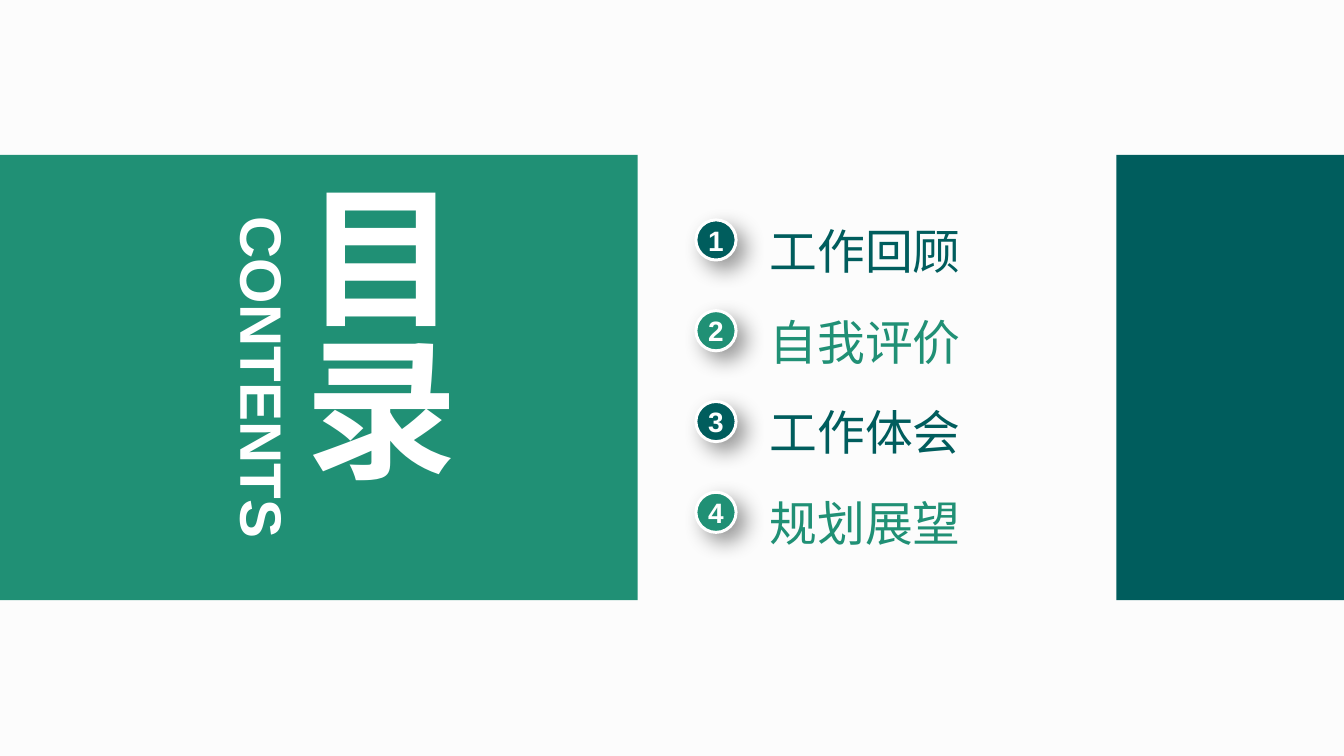
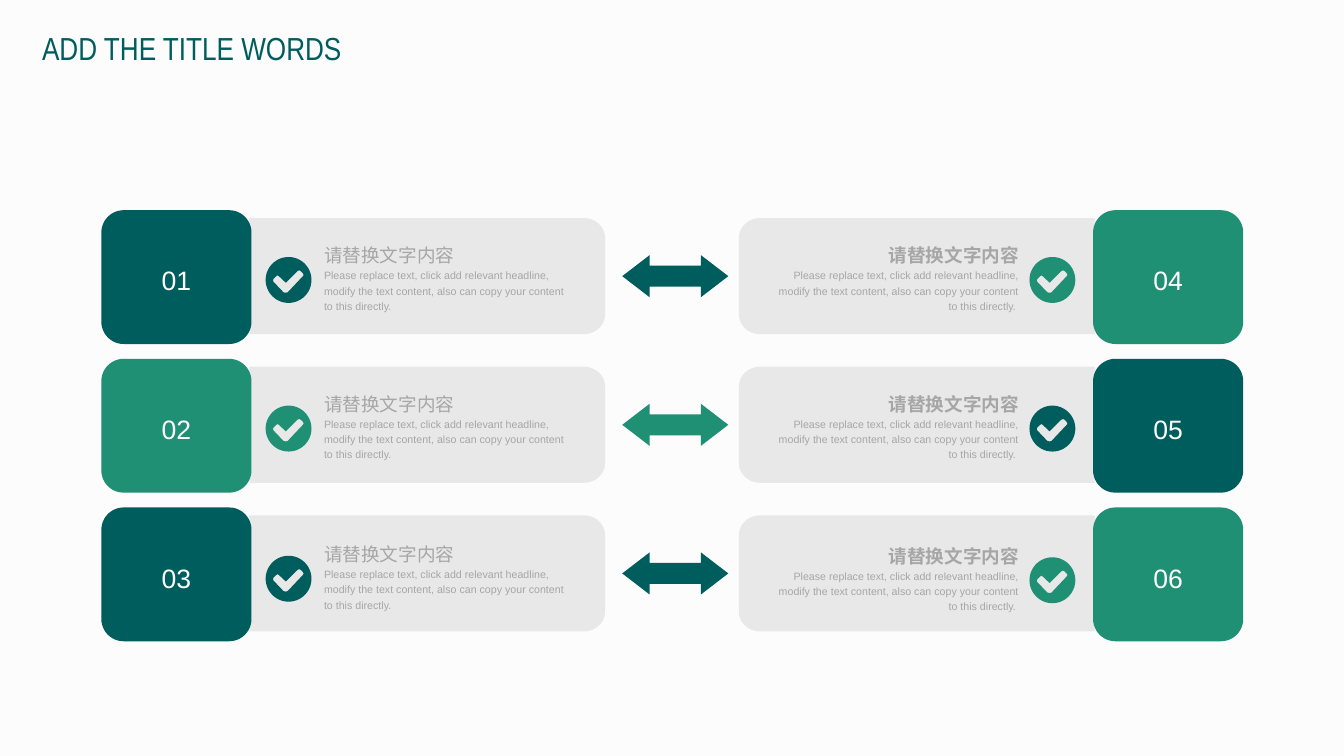
from math import cos, sin, radians

from lxml.etree import SubElement
from pptx import Presentation
from pptx.dml.color import RGBColor
from pptx.enum.shapes import MSO_SHAPE as Preset
from pptx.enum.text import MSO_ANCHOR as Anchor, MSO_AUTO_SIZE as Fit, PP_ALIGN as Align
from pptx.oxml.ns import qn
from pptx.util import Inches, Pt

COLORS = {
    "paper": "FCFCFC",
    "deep": "005D5D",
    "green": "209075",
    "panel": "E6E6E6",
    "grey": "A6A6A6",
    "white": "FFFFFF",
    "shadow": "000000",
}
PAIR = ("deep", "green")
TITLE_ONLY, TITLE_AND_BODY = 5, 1


def arc(center_x, center_y, radius_x, radius_y, start, end, steps=12):
    """Points along an elliptical arc; angles in degrees, clockwise from the right."""
    angles = [radians(start + (end - start) * i / steps) for i in range(steps + 1)]
    return [(center_x + radius_x * cos(a), center_y + radius_y * sin(a)) for a in angles]


class Slides:
    """Style and current slide; lengths are columns and rows of a 100 x 100 grid."""

    def __init__(self, width, height):
        self.deck = Presentation()
        self.deck.slide_width, self.deck.slide_height = Inches(width), Inches(height)
        self.column = self.deck.slide_width / 100
        self.row = self.deck.slide_height / 100
        self.paint(self.deck.slide_master.background, "paper")
        self.page = None

    def new_page(self, layout):
        self.page = self.deck.slides.add_slide(self.deck.slide_layouts[layout])

    # --- style helpers ---
    def area(self, x, y, width, height):
        return (round(x * self.column), round(y * self.row),
                round(width * self.column), round(height * self.row))

    def paint(self, target, color):
        target.fill.solid()
        target.fill.fore_color.rgb = RGBColor.from_string(COLORS[color])

    def finish(self, shape, color, opacity=100):
        shape.shadow.inherit = False
        self.paint(shape, color)
        shape.line.fill.background()
        if opacity < 100:
            fill = shape._element.spPr.find(qn("a:solidFill"))
            SubElement(fill[0], qn("a:alpha"), val=str(opacity * 1000))
        return shape

    def frame(self, shape, anchor=Anchor.MIDDLE, inset=0):
        frame = shape.text_frame
        frame.word_wrap, frame.auto_size = True, Fit.NONE
        frame.vertical_anchor = anchor
        if inset is not None:
            frame.margin_left = frame.margin_right = inset
            frame.margin_top = frame.margin_bottom = inset
        return frame

    def add_span(self, para, words, size, color, bold=False, font="Arial"):
        span = para.add_run()
        span.text = words
        span.font.name, span.font.size, span.font.bold = font, Pt(size), bold
        span.font.color.rgb = RGBColor.from_string(COLORS[color])

    # --- elements ---
    def place(self, holder, *area):
        holder.left, holder.top, holder.width, holder.height = self.area(*area)
        return holder

    def title(self, words, area, size, color, font="Arial", bold=False,
              anchor=Anchor.TOP, inset=None, spacing=1.0, vertical=False):
        holder = self.place(self.page.shapes.title, *area)
        frame = self.frame(holder, anchor, inset)
        if vertical:
            holder._element.txBody.find(qn("a:bodyPr")).set("vert", "eaVert")
        para = frame.paragraphs[0]
        para.alignment, para.line_spacing = Align.LEFT, spacing
        self.add_span(para, words, size, color, bold, font)

    def topics(self, lines, area, size, pitch):
        """Unbulleted list in the body placeholder, one line every `pitch` rows."""
        frame = self.frame(self.place(self.page.placeholders[1], *area), Anchor.TOP)
        for i, words in enumerate(lines):
            para = frame.add_paragraph() if i else frame.paragraphs[0]
            para.space_before = Pt(0)
            para.line_spacing = Pt(round(pitch * self.row / Pt(1), 1))
            marks = para._p.get_or_add_pPr()
            marks.set("marL", "0")
            marks.set("indent", "0")
            SubElement(marks, qn("a:buNone"))
            self.add_span(para, words, size, PAIR[i % 2])

    def text(self, area, anchor=Anchor.TOP, align=Align.LEFT, spacing=1.0, turn=0):
        box = self.page.shapes.add_textbox(*self.area(*area))
        box.rotation = turn
        para = self.frame(box, anchor).paragraphs[0]
        para.alignment, para.line_spacing = align, spacing
        return para

    def shape(self, preset, area, color):
        return self.finish(self.page.shapes.add_shape(preset, *self.area(*area)), color)

    def label(self, shape, words, size, bold=False, spacing=1.0):
        para = self.frame(shape).paragraphs[0]
        para.alignment, para.line_spacing = Align.CENTER, spacing
        self.add_span(para, words, size, "white", bold)

    def badge(self, area, number, color):
        disc = self.shape(Preset.OVAL, area, color)
        disc.line.color.rgb = RGBColor.from_string(COLORS["white"])
        disc.line.width = Pt(2.25)
        effects = disc._element.spPr.find(qn("a:effectLst"))
        shadow = SubElement(effects, qn("a:outerShdw"), blurRad=str(Pt(16)),
                            dist=str(Pt(9)), dir=str(45 * 60000), rotWithShape="0")
        tone = SubElement(shadow, qn("a:srgbClr"), val=COLORS["shadow"])
        SubElement(tone, qn("a:alpha"), val="40000")
        self.label(disc, str(number), 21.1, bold=True)

    def outline(self, area, contours, color, opacity=100):
        """Closed contours given as shares of the area."""
        left, top, width, height = self.area(*area)
        routes = [[(round(left + x * width), round(top + y * height)) for x, y in contour]
                  for contour in contours]
        builder = self.page.shapes.build_freeform(*routes[0][0], scale=1.0)
        for i, route in enumerate(routes):
            if i:
                builder.move_to(*route[0])
            builder.add_line_segments(route[1:], close=True)
        return self.finish(builder.convert_to_shape(), color, opacity)

    def panel(self, area, mirrored):
        """Panel with round corners on its inner side."""
        rx, ry = 0.06, 0.17
        points = [(0, 0), *arc(1 - rx, ry, rx, ry, -90, 0),
                  *arc(1 - rx, 1 - ry, rx, ry, 0, 90), (0, 1)]
        if mirrored:
            points = [(1 - x, y) for x, y in points]
        self.outline(area, [points], "panel", opacity=90)

    def tick(self, area, color):
        check = [(.81, .35), (.77, .31), (.73, .29), (.69, .31), (.44, .56), (.29, .42),
                 (.26, .40), (.23, .42), (.17, .48), (.16, .51), (.17, .54), (.39, .77),
                 (.44, .78), (.48, .77), (.81, .42), (.83, .39)]
        self.outline(area, [arc(.5, .5, .5, .5, 0, 360, 72), check], color)


slides = Slides(14.06, 7.91)

# Contents page: two bands, vertical title, numbered topics
slides.new_page(TITLE_AND_BODY)
BAND_TOP, BAND_HEIGHT = 20.48, 58.91
slides.shape(Preset.RECTANGLE, (0, BAND_TOP, 47.44, BAND_HEIGHT), "green")
slides.shape(Preset.RECTANGLE, (83.07, BAND_TOP, 16.93, BAND_HEIGHT), "deep")
slides.title("目录", (21.12, 23.77, 13.8, 52.47), 115, "white", bold=True,
             anchor=Anchor.MIDDLE, inset=0, vertical=True)
# Bring the title in front of its band
tree = slides.page.shapes._spTree
tree.append(slides.page.shapes.title._element)
caption = slides.text((6.76, 45.26, 25.68, 9.36), align=Align.CENTER, turn=90)
slides.add_span(caption, "CONTENTS", 44, "white", bold=True)

TOPICS = ["工作回顾", "自我评价", "工作体会", "规划展望"]
TOPIC_PITCH = 12.01
slides.topics(TOPICS, (57.25, 24.87, 19.2, 4 * TOPIC_PITCH), 36, TOPIC_PITCH)
for i in range(len(TOPICS)):
    slides.badge((51.78, 29.08 + i * TOPIC_PITCH, 2.99, 5.31), i + 1, PAIR[i % 2])

# Comparison page: three rows of facing cards joined by arrows
slides.new_page(TITLE_ONLY)
slides.title("ADD THE TITLE WORDS", (2.42, 0.63, 25.18, 7.96), 24, "deep",
             font="Arial Narrow", spacing=1.5)
HEADLINE = "请替换文字内容"
DETAIL = ("Please replace text, click add relevant headline, modify the text content, "
          "also can copy your content to this directly. ")
ROWS, FIRST_ROW, ROW_PITCH = 3, 27.81, 19.66
# Columns of card, panel, text and tick; text alignment; drop of the last row's content
SIDES = [
    (7.54, 18.56, 24.11, 19.77, Align.LEFT, 0.2),
    (81.33, 54.98, 57.47, 76.6, Align.RIGHT, 0.4),
]
for side, (card_x, panel_x, text_x, tick_x, align, drop) in enumerate(SIDES):
    for i in range(ROWS):
        top = FIRST_ROW + i * ROW_PITCH
        inner = top + (drop if i == ROWS - 1 else 0)
        color = PAIR[(i + side) % 2]
        slides.panel((panel_x, top + 1.04, 26.46, 15.36), mirrored=side == 1)
        para = slides.text((text_x, inner + 3.92, 18.35, 9.73), align=align, spacing=1.2)
        slides.add_span(para, HEADLINE, 14, "grey", bold=side == 1)
        para.add_line_break()
        slides.add_span(para, DETAIL, 8, "grey")
        slides.tick((tick_x, inner + 6.19, 3.41, 6.07), color)
        card = slides.shape(Preset.ROUNDED_RECTANGLE, (card_x, top, 11.17, 17.7), color)
        slides.label(card, f"{side * ROWS + i + 1:02d}", 20, spacing=1.2)

for i in range(ROWS):
    arrow = slides.shape(Preset.LEFT_RIGHT_ARROW,
                         (46.3, FIRST_ROW + 5.94 + i * ROW_PITCH, 7.89, 5.56), PAIR[i % 2])
    arrow.adjustments[0], arrow.adjustments[1] = 0.5, 0.65

slides.deck.save("out.pptx")
